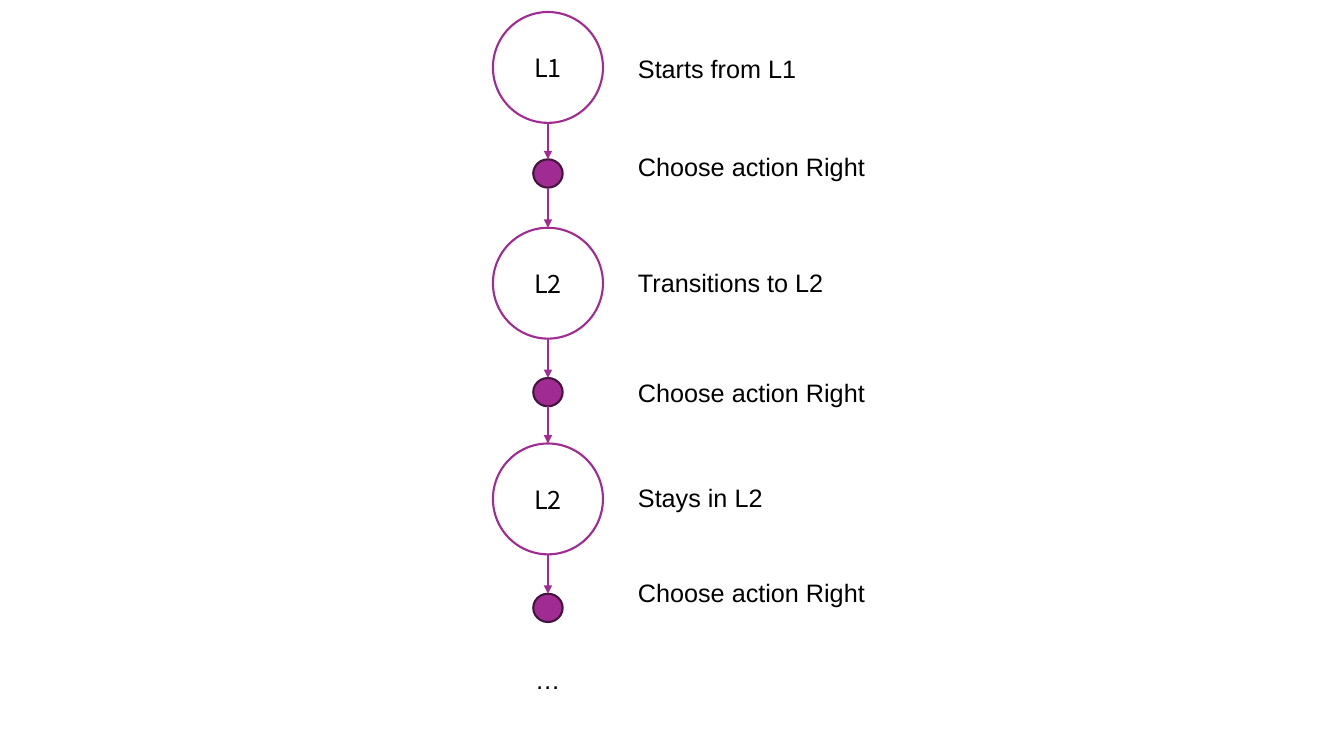
from dataclasses import dataclass
from itertools import pairwise

from lxml.etree import SubElement
from pptx import Presentation
from pptx.dml.color import RGBColor
from pptx.enum.shapes import MSO_CONNECTOR, MSO_SHAPE
from pptx.enum.text import MSO_ANCHOR, MSO_AUTO_SIZE, PP_ALIGN
from pptx.oxml.ns import qn
from pptx.slide import Slide
from pptx.util import Pt


@dataclass(frozen=True)
class Theme:
    purple: RGBColor = RGBColor(0xA0, 0x2B, 0x93)
    dark_purple: RGBColor = RGBColor(0x46, 0x13, 0x40)
    white: RGBColor = RGBColor(0xFF, 0xFF, 0xFF)
    black: RGBColor = RGBColor(0, 0, 0)
    label_font: str = "Arial"
    state_font: str = "Noto Sans CJK JP"
    text_size: float = 18
    outline: float = 1.5
    arrow: float = 2


@dataclass(frozen=True)
class Step:
    """A state circle (with a name) or an action dot (without)."""
    top: float
    label: str
    label_top: float
    state: str = ""

    @property
    def width(self) -> float:
        return 78.6 if self.state else 21

    @property
    def height(self) -> float:
        return 79.2 if self.state else 20.2


THEME = Theme()
CENTER_X = 391.4
LABEL_X = 448.6
STATE_TOP, STATE_PITCH = 8.6, 154.1

STEPS = [
    Step(STATE_TOP, "Starts from L1", 34.6, "L1"),
    Step(113.8, "Choose action Right", 104.4),
    Step(STATE_TOP + STATE_PITCH, "Transitions to L2", 187.2, "L2"),
    Step(270, "Choose action Right", 265.7),
    Step(STATE_TOP + 2 * STATE_PITCH, "Stays in L2", 341.3, "L2"),
    Step(424.1, "Choose action Right", 409),
]


def add_node(s: Slide, step: Step) -> None:
    sp = s.shapes.add_shape(
        MSO_SHAPE.OVAL, Pt(CENTER_X - step.width / 2), Pt(step.top),
        Pt(step.width), Pt(step.height))
    sp.shadow.inherit = False
    sp.fill.solid()
    sp.fill.fore_color.rgb = THEME.white if step.state else THEME.purple
    sp.line.color.rgb = THEME.purple if step.state else THEME.dark_purple
    sp.line.width = Pt(THEME.outline)
    if step.state:
        tf = sp.text_frame
        tf.vertical_anchor = MSO_ANCHOR.MIDDLE
        p = tf.paragraphs[0]
        p.text = step.state
        p.alignment = PP_ALIGN.CENTER
        p.font.name = THEME.state_font
        p.font.size = Pt(THEME.text_size)
        p.font.color.rgb = THEME.black


def add_arrow(s: Slide, start: Step, end: Step) -> None:
    c = s.shapes.add_connector(
        MSO_CONNECTOR.STRAIGHT, Pt(CENTER_X), Pt(start.top + start.height),
        Pt(CENTER_X), Pt(end.top))
    c.line.color.rgb = THEME.purple
    c.line.width = Pt(THEME.arrow)
    SubElement(c.line._get_or_add_ln(), qn("a:tailEnd"), type="triangle")
    SubElement(c._element.spPr, qn("a:effectLst"))


def add_label(s: Slide, text: str, left: float, top: float,
              width: float = 178) -> None:
    tf = s.shapes.add_textbox(Pt(left), Pt(top), Pt(width), Pt(29)).text_frame
    tf.word_wrap = True
    tf.auto_size = MSO_AUTO_SIZE.SHAPE_TO_FIT_TEXT
    p = tf.paragraphs[0]
    p.text = text
    p.font.name = THEME.label_font
    p.font.size = Pt(THEME.text_size)
    p.font.color.rgb = THEME.black


def main() -> None:
    prs = Presentation()
    prs.slide_width, prs.slide_height = Pt(960), Pt(540)
    s = prs.slides.add_slide(prs.slide_layouts[6])

    # Chain of states and actions
    for step in STEPS:
        add_node(s, step)
    for start, end in pairwise(STEPS):
        add_arrow(s, start, end)

    # Explanations beside the chain, and its continuation
    for step in STEPS:
        add_label(s, step.label, LABEL_X, step.label_top)
    add_label(s, "…", 375.1, 470.9, 32.6)

    prs.save("out.pptx")


if __name__ == "__main__":
    main()
